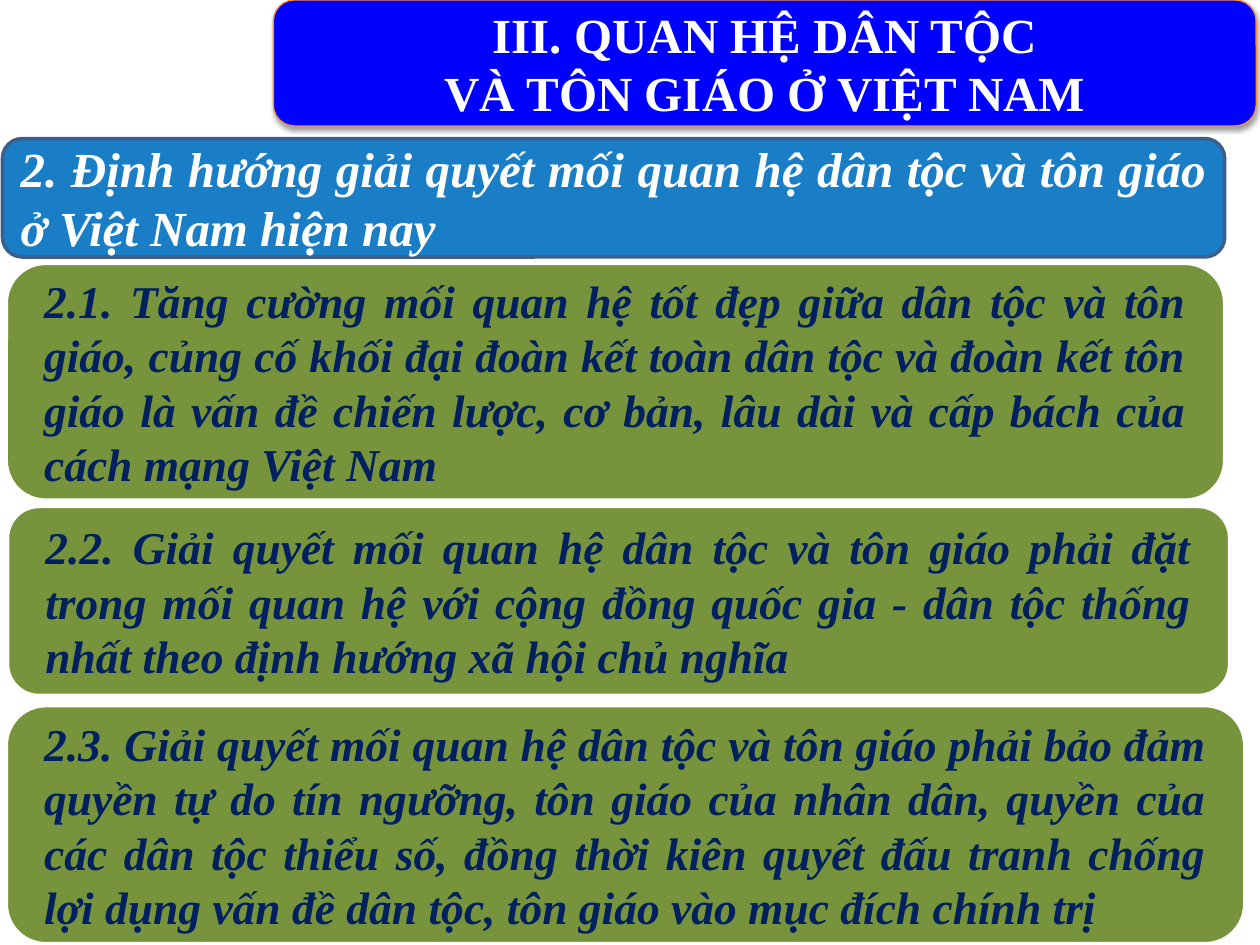
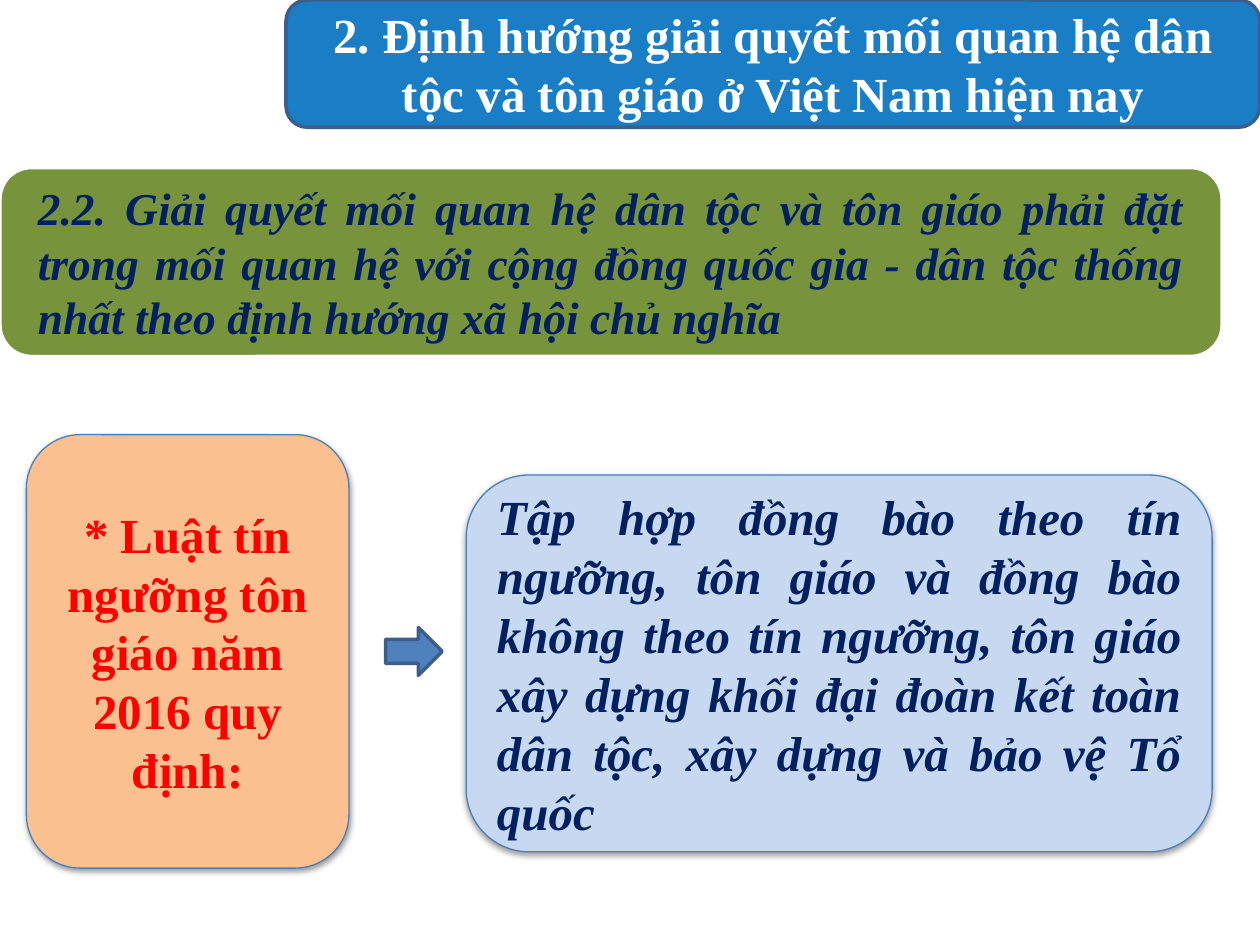
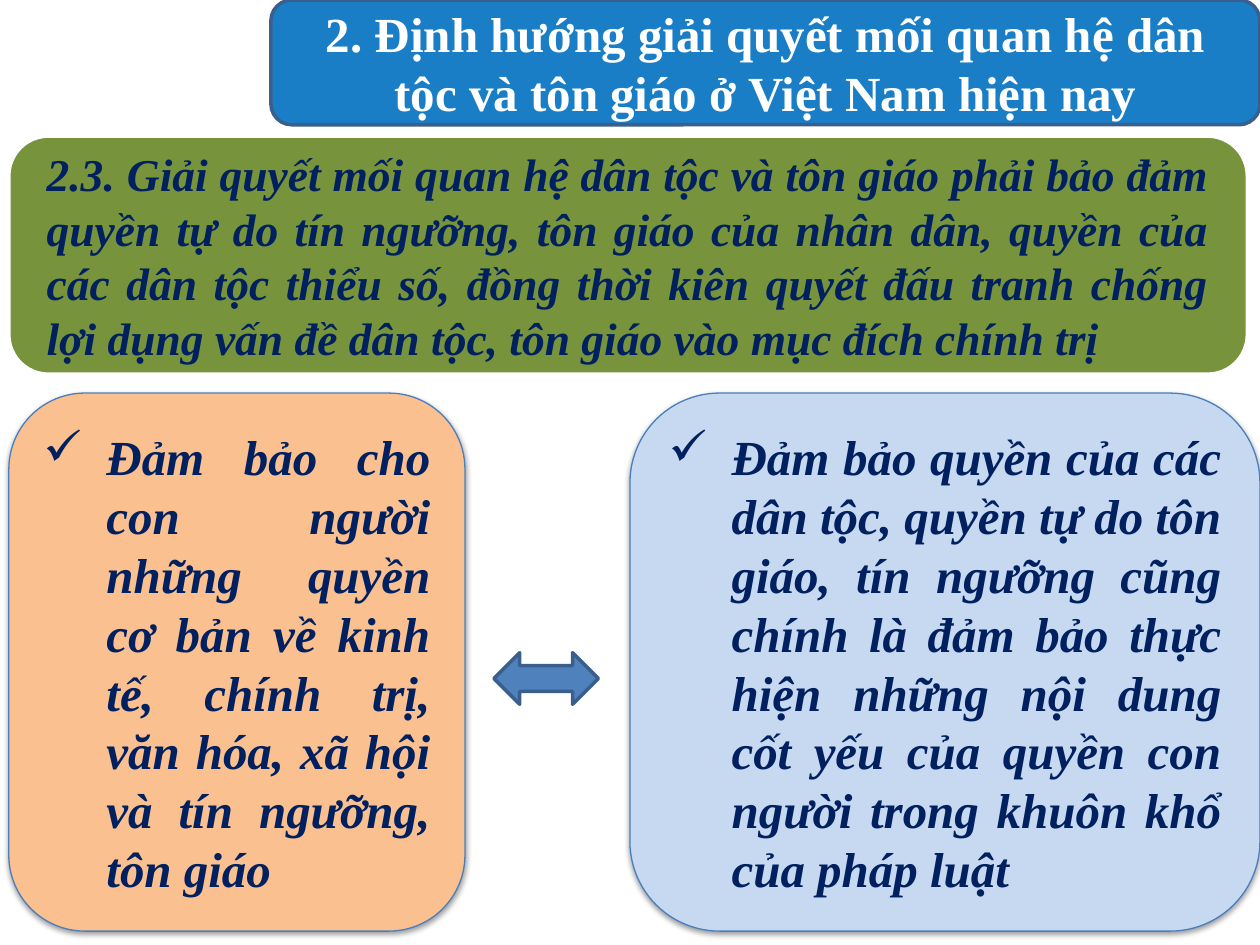
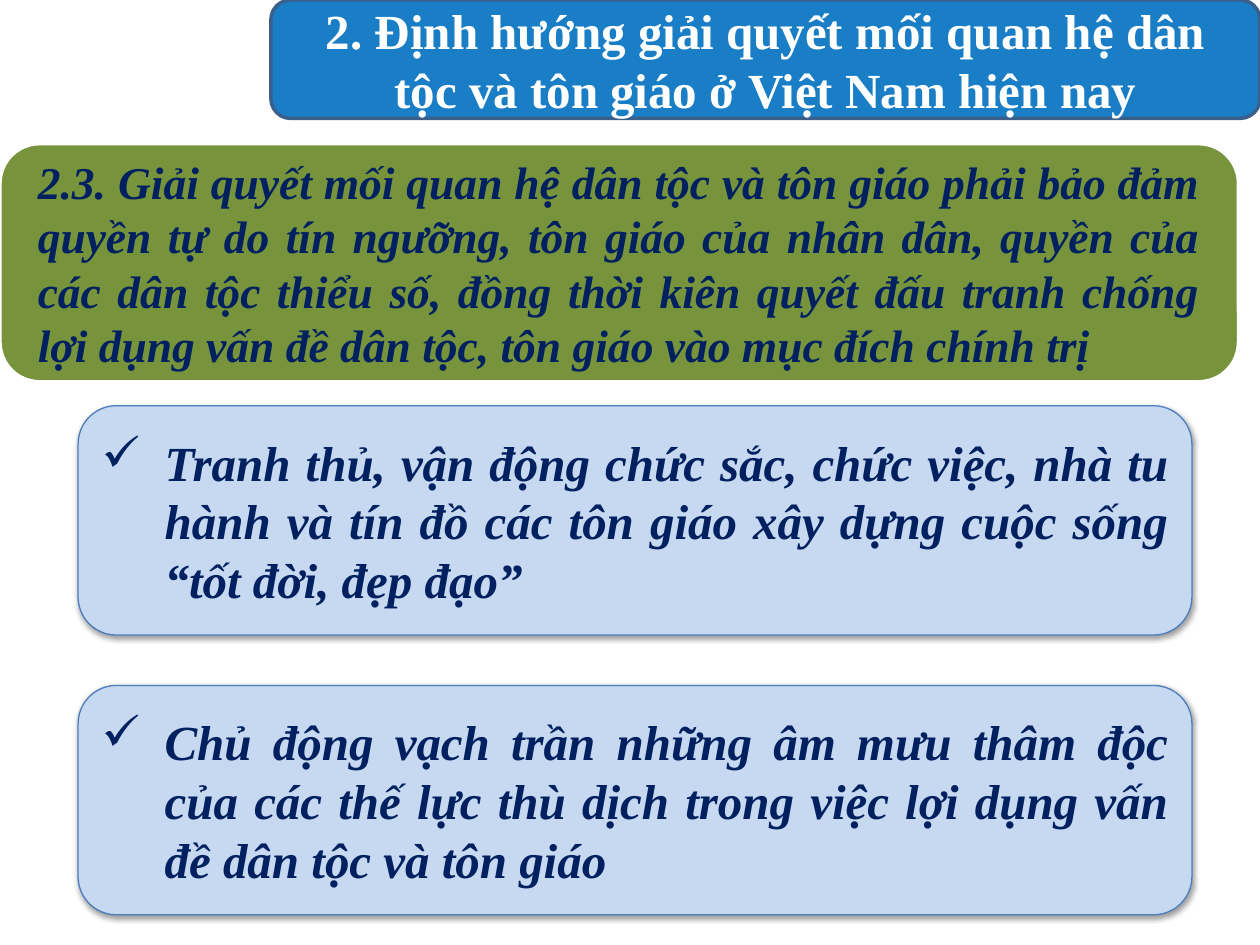
from lxml import etree
from pptx import Presentation
from pptx.dml.color import RGBColor
from pptx.enum.shapes import MSO_SHAPE as SHAPE
from pptx.enum.text import MSO_ANCHOR as ANCHOR, PP_ALIGN as ALIGN
from pptx.oxml.ns import qn
from pptx.util import Inches, Pt

# Content
TITLE = ["III. QUAN HỆ DÂN TỘC", "VÀ TÔN GIÁO Ở VIỆT NAM"]
HEADING = "2. Định hướng giải quyết mối quan hệ dân tộc và tôn giáo ở Việt Nam hiện nay"
POINT_1 = ("2.1. Tăng cường mối quan hệ tốt đẹp giữa dân tộc và tôn giáo, củng cố khối "
           "đại đoàn kết toàn dân tộc và đoàn kết tôn giáo là vấn đề chiến lược, cơ bản, "
           "lâu dài và cấp bách của cách mạng Việt Nam")
POINT_2 = ("2.2. Giải quyết mối quan hệ dân tộc và tôn giáo phải đặt trong mối quan hệ với "
           "cộng đồng quốc gia - dân tộc thống nhất theo định hướng xã hội chủ nghĩa")
POINT_3 = ("2.3. Giải quyết mối quan hệ dân tộc và tôn giáo phải bảo đảm quyền tự do tín "
           "ngưỡng, tôn giáo của nhân dân, quyền của các dân tộc thiểu số, đồng thời kiên "
           "quyết đấu tranh chống lợi dụng vấn đề dân tộc, tôn giáo vào mục đích chính trị")
LAW = "* Luật tín ngưỡng tôn giáo năm 2016 quy định:"
UNITY = ("Tập hợp đồng bào theo tín ngưỡng, tôn giáo và đồng bào không theo tín ngưỡng, "
         "tôn giáo xây dựng khối đại đoàn kết toàn dân tộc, xây dựng và bảo vệ Tổ quốc")
HUMAN_RIGHTS = ("Đảm bảo cho con người những quyền cơ bản về kinh tế, chính trị, văn hóa, "
                "xã hội và tín ngưỡng, tôn giáo")
ETHNIC_RIGHTS = ("Đảm bảo quyền của các dân tộc, quyền tự do tôn giáo, tín ngưỡng cũng chính "
                 "là đảm bảo thực hiện những nội dung cốt yếu của quyền con người trong khuôn "
                 "khổ của pháp luật")
TASKS = [
    "Tranh thủ, vận động chức sắc, chức việc, nhà tu hành và tín đồ các tôn giáo xây dựng "
    "cuộc sống “tốt đời, đẹp đạo”",
    "Chủ động vạch trần những âm mưu thâm độc của các thế lực thù dịch trong việc lợi dụng "
    "vấn đề dân tộc và tôn giáo",
]

# Style
FONT = "Times New Roman"
WHITE = RGBColor(0xFF, 0xFF, 0xFF)
NAVY = RGBColor(0x00, 0x20, 0x60)
RED = RGBColor(0xFF, 0x00, 0x00)
TITLE_BLUE = RGBColor(0x00, 0x00, 0xFF)
HEADING_BLUE = RGBColor(0x00, 0x70, 0xC0)
GREEN = RGBColor(0x77, 0x93, 0x3C)
PEACH = RGBColor(0xFA, 0xC0, 0x90)
PALE_BLUE = RGBColor(0xC6, 0xD9, 0xF1)
ARROW_BLUE = RGBColor(0x4F, 0x81, 0xBD)
ORANGE_EDGE = RGBColor(0xF6, 0x92, 0x40)
DARK_EDGE = RGBColor(0x3A, 0x5F, 0x8C)
CARD_EDGE = RGBColor(0x4B, 0x7E, 0xBC)


def add_sub(parent, tag, **attrs):
    return etree.SubElement(parent, qn(tag), attrs)


def add_shape(shapes, kind, at, fill, edge, width, shadow=False):
    s = shapes.add_shape(kind, *map(Inches, at))
    s.fill.solid()
    s.fill.fore_color.rgb = fill
    s.line.color.rgb = edge
    s.line.width = Pt(width)
    s.shadow.inherit = False
    if shadow:
        effects = s._element.spPr.find(qn("a:effectLst"))
        outer = add_sub(effects, "a:outerShdw", blurRad="40000", dist="20000",
                        dir="5400000", rotWithShape="0")
        color = add_sub(outer, "a:srgbClr", val="000000")
        add_sub(color, "a:alpha", val="38000")
    return s


def write(s, lines, color, size=28, align=ALIGN.JUSTIFY, italic=True, check=False):
    tf = s.text_frame
    tf.word_wrap = True
    tf.vertical_anchor = ANCHOR.MIDDLE
    for i, line in enumerate(lines):
        p = tf.add_paragraph() if i else tf.paragraphs[0]
        p.text = line
        p.alignment = align
        if check:
            pPr = p._p.get_or_add_pPr()
            pPr.set("marL", str(Inches(0.5)))
            pPr.set("indent", str(Inches(-0.5)))
            add_sub(pPr, "a:buChar", char="✓")
        p.font.name = FONT
        p.font.size = Pt(size)
        p.font.bold = True
        p.font.italic = italic
        p.font.color.rgb = color


def add_heading(slide, at, align=ALIGN.CENTER, italic=False):
    s = add_shape(slide.shapes, SHAPE.ROUNDED_RECTANGLE, at, HEADING_BLUE, DARK_EDGE, 2)
    color = s._element.spPr.find(qn("a:solidFill"))[0]
    add_sub(color, "a:alpha", val="90000")
    write(s, [HEADING], WHITE, align=align, italic=italic)


def add_point(slide, text, at):
    """Green bar grouped with a text box that clears its rounded corners."""
    x, y, w, h = at
    dx, dy = 0.06, 0.05 * h
    group = slide.shapes.add_group_shape()
    add_shape(group.shapes, SHAPE.ROUNDED_RECTANGLE, at, GREEN, WHITE, 2)
    box = group.shapes.add_textbox(*map(Inches, (x + dx, y + dy, w - 2 * dx, h - 2 * dy)))
    tf = box.text_frame
    tf.margin_left = tf.margin_right = Inches(0.24)
    tf.margin_top = tf.margin_bottom = 0
    write(box, [text], NAVY, size=26)


def add_card(slide, text, at, fill, color=NAVY, **style):
    s = add_shape(slide.shapes, SHAPE.ROUNDED_RECTANGLE, at, fill, CARD_EDGE, 0.75, shadow=True)
    write(s, [text], color, **style)


def add_arrow(slide, kind, at):
    add_shape(slide.shapes, kind, at, ARROW_BLUE, DARK_EDGE, 2)


def main():
    prs = Presentation()
    prs.slide_width, prs.slide_height = Inches(10), Inches(7.5)
    overview, law, rights, tasks = [prs.slides.add_slide(prs.slide_layouts[6]) for _ in range(4)]

    # Overview of the three points
    s = add_shape(overview.shapes, SHAPE.ROUNDED_RECTANGLE, (2.17, 0, 7.8, 1),
                  TITLE_BLUE, ORANGE_EDGE, 0.75, shadow=True)
    write(s, TITLE, WHITE, align=ALIGN.CENTER, italic=False)
    add_heading(overview, (0.02, 1.1, 9.7, 0.94), ALIGN.JUSTIFY, italic=True)
    add_point(overview, POINT_1, (0.05, 2.09, 9.67, 1.88))
    add_point(overview, POINT_2, (0.06, 4.02, 9.7, 1.5))
    add_point(overview, POINT_3, (0.05, 5.6, 9.83, 1.89))

    # Point 2.2: what the law says
    add_point(law, POINT_2, (0, 1.33, 9.7, 1.5))
    add_heading(law, (2.27, 0, 7.73, 1.01))
    add_card(law, LAW, (0.21, 3.45, 2.56, 3.44), PEACH, RED, align=ALIGN.CENTER, italic=False)
    add_card(law, UNITY, (3.7, 3.77, 5.92, 2.99), PALE_BLUE)
    add_arrow(law, SHAPE.RIGHT_ARROW, (3.06, 4.98, 0.45, 0.38))

    # Point 2.3: rights
    add_heading(rights, (2.15, 0, 7.85, 0.99))
    add_point(rights, POINT_3, (0.07, 1.08, 9.83, 1.89))
    add_card(rights, HUMAN_RIGHTS, (0.07, 3.12, 3.62, 4.27), PEACH, check=True)
    add_card(rights, ETHNIC_RIGHTS, (5, 3.12, 5, 4.27), PALE_BLUE, check=True)
    add_arrow(rights, SHAPE.LEFT_RIGHT_ARROW, (3.92, 5.18, 0.83, 0.41))

    # Point 2.3: tasks
    add_heading(tasks, (2.15, 0, 7.85, 0.94))
    add_point(tasks, POINT_3, (0, 1.14, 9.83, 1.89))
    for i, task in enumerate(TASKS):
        add_card(tasks, task, (0.62, 3.22 + 2.22 * i, 8.84, 1.82), PALE_BLUE, check=True)

    prs.save("out.pptx")


if __name__ == "__main__":
    main()
